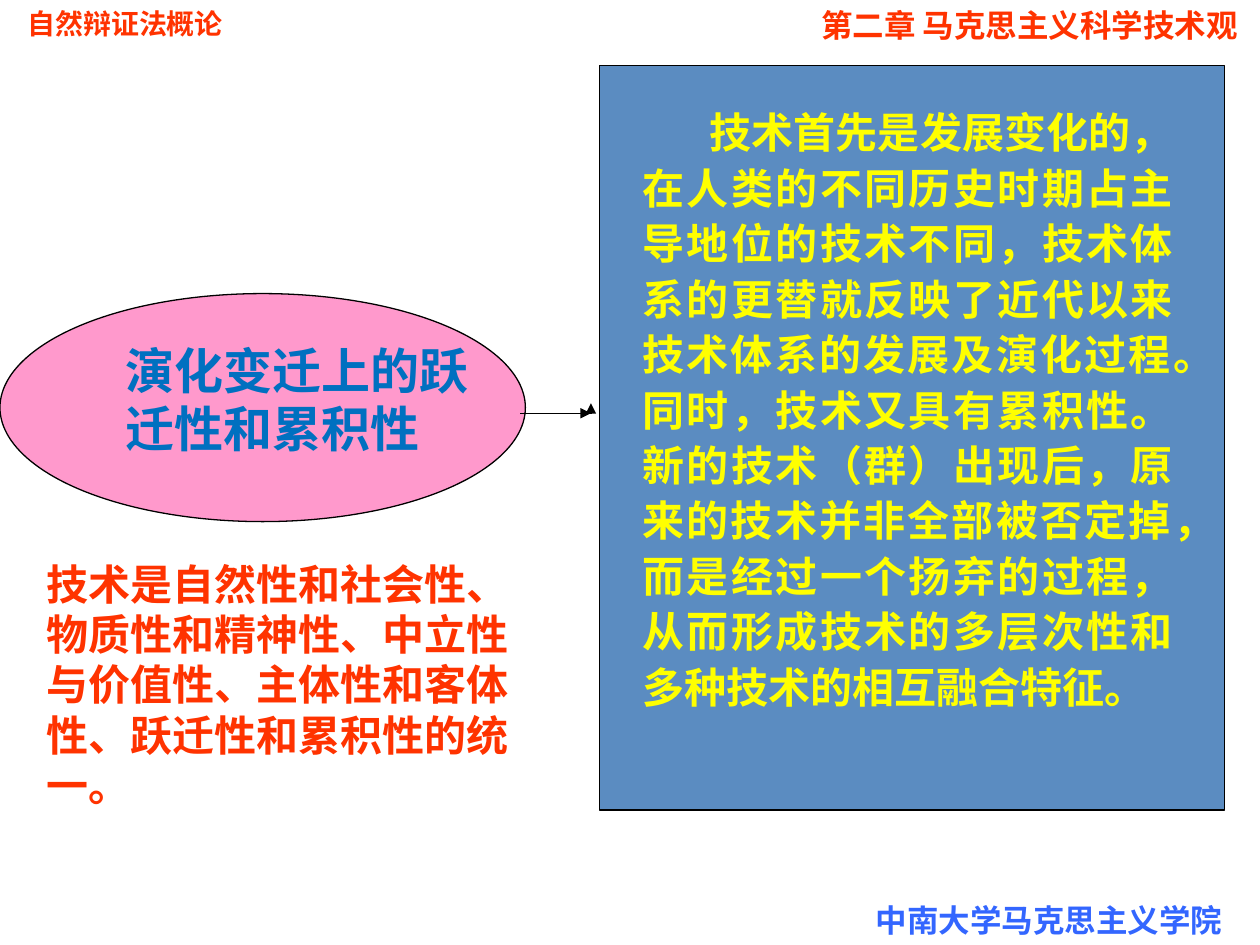
from lxml import etree
from pptx import Presentation
from pptx.dml.color import RGBColor
from pptx.enum import shapes, text
from pptx.oxml import ns
from pptx.util import Inches, Pt

RED = RGBColor(0xFF, 0x33, 0x00)
ROYAL = RGBColor(0x33, 0x66, 0xFF)
BLUE = RGBColor(0x00, 0x70, 0xC0)
STEEL = RGBColor(0x5B, 0x8C, 0xC1)
PINK = RGBColor(0xFF, 0x99, 0xCC)
YELLOW = RGBColor(0xFF, 0xFF, 0x00)
BLACK = RGBColor(0x00, 0x00, 0x00)


def add_text(s, box, words, size, color, **formats):
    """Place one bold paragraph in a wrapped text box and return the paragraph."""
    tf = s.shapes.add_textbox(*map(Inches, box)).text_frame
    tf.word_wrap = True
    p = tf.paragraphs[0]
    for name, value in formats.items():
        setattr(p, name, value)
    r = p.add_run()
    r.text = words
    for name, value in {"name": "Arial", "size": Pt(size), "bold": True}.items():
        setattr(r.font, name, value)
    r.font.color.rgb = color
    return p


def add_panel(s, kind, box, color):
    """Place a filled shape with a thin black outline."""
    sp = s.shapes.add_shape(kind, *map(Inches, box))
    sp.shadow.inherit = False
    sp.fill.solid()
    sp.fill.fore_color.rgb = color
    sp.line.color.rgb = BLACK
    sp.line.width = Pt(0.75)


def add_arrow(s, start, end):
    """Draw a thin black arrow from start to end."""
    line = s.shapes.add_connector(
        shapes.MSO_CONNECTOR.STRAIGHT, *map(Inches, (*start, *end)))
    line.line.color.rgb = BLACK
    line.line.width = Pt(0.75)
    etree.SubElement(line.line._get_or_add_ln(), ns.qn("a:tailEnd"), type="triangle")
    etree.SubElement(line._element.spPr, ns.qn("a:effectLst"))


def add_frame(s, width, height):
    """Place the course, chapter and school names along the slide edges."""
    add_text(s, (0.12, 0, 3.78, 0.37), "自然辩证法概论", 16, RED)
    add_text(s, (width - 3.66, 0, 3.66, 0.4), "第二章 马克思主义科学技术观", 18, RED,
             alignment=text.PP_ALIGN.CENTER)
    add_text(s, (width - 3.15, height - 0.4, 3.15, 0.4),
             "中南大学马克思主义学院", 18, ROYAL)


def add_topic(s, left, top, width, height):
    """Place the topic ellipse with its title."""
    add_panel(s, shapes.MSO_SHAPE.OVAL, (left, top, width, height), PINK)
    add_text(s, (left + 0.9, top + 0.32, width - 0.94, 1.03),
             "演化变迁上的跃迁性和累积性", 28, BLUE)


def add_explanation(s, left, top, width, height):
    """Place the explanation panel with its justified, indented paragraph."""
    add_panel(s, shapes.MSO_SHAPE.RECTANGLE, (left, top, width, height), STEEL)
    p = add_text(
        s, (left + 0.24, top + 0.24, width - 0.55, height - 0.32),
        "技术首先是发展变化的，在人类的不同历史时期占主导地位的技术不同，"
        "技术体系的更替就反映了近代以来技术体系的发展及演化过程。"
        "同时，技术又具有累积性。新的技术（群）出现后，原来的技术并非全部被否定掉，"
        "而是经过一个扬弃的过程，从而形成技术的多层次性和多种技术的相互融合特征。",
        24, YELLOW, alignment=text.PP_ALIGN.JUSTIFY, line_spacing=1.1)
    p._p.get_or_add_pPr().set("indent", str(Inches(0.53)))


def main():
    """Build the slide and save it."""
    prs = Presentation()
    prs.slide_width, prs.slide_height = Inches(10), Inches(7.5)
    s = prs.slides.add_slide(prs.slide_layouts[6])
    add_frame(s, 10, 7.5)
    add_topic(s, 0, 2.33, 4.17, 1.81)
    add_explanation(s, 4.76, 0.52, 4.96, 5.91)
    for start in ((4.69, 3.28), (4.13, 3.28)):
        end = (4.69, 3.2 if start[0] == 4.69 else 3.28)
        add_arrow(s, start, end)
    add_text(s, (0.27, 4.38, 4.02, 2.1),
             "技术是自然性和社会性、物质性和精神性、中立性与价值性、"
             "主体性和客体性、跃迁性和累积性的统一。", 24, RED)
    prs.save("out.pptx")


if __name__ == "__main__":
    main()
